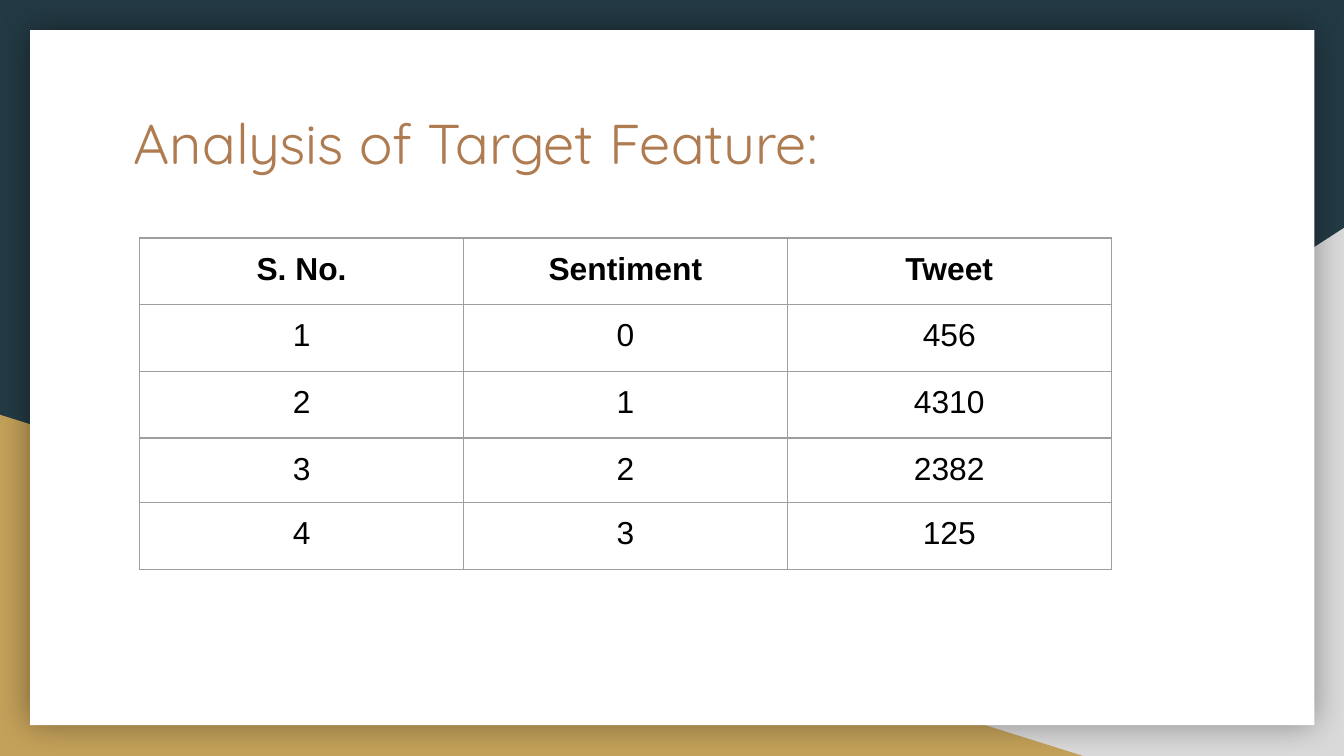
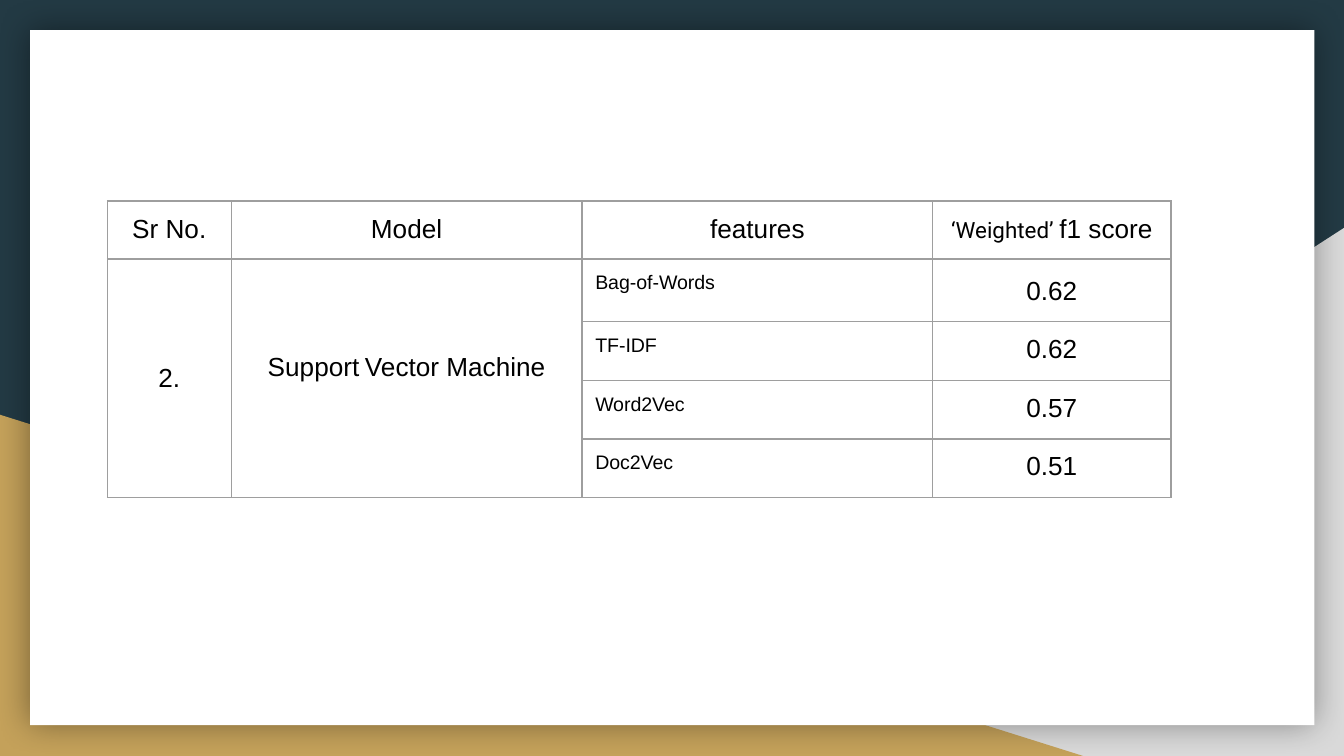
from lxml import etree
from pptx import Presentation
from pptx.dml.color import RGBColor
from pptx.enum.shapes import MSO_SHAPE
from pptx.enum.text import MSO_ANCHOR, PP_ALIGN
from pptx.oxml.ns import nsdecls, qn
from pptx.oxml import parse_xml
from pptx.util import Cm, Pt

RECTANGLE, TRIANGLE = MSO_SHAPE.RECTANGLE, MSO_SHAPE.RIGHT_TRIANGLE
LEFT, CENTER = PP_ALIGN.LEFT, PP_ALIGN.CENTER
TOP, MIDDLE = MSO_ANCHOR.TOP, MSO_ANCHOR.MIDDLE

NAVY, GOLD, GREY, WHITE = "233A44", "C4A15A", "D9D9D9", "FFFFFF"
BROWN, BLACK, BORDER = "AF7B51", "000000", "9E9E9E"
INSET = 0.25
BODY_FONT = "Arial"

# Content; lengths in centimetres
TITLE = "Analysis of Target Feature:"
SENTIMENT_ROWS = [
    ("S. No.", "Sentiment", "Tweet"),
    ("1", "0", "456"),
    ("2", "1", "4310"),
    ("3", "2", "2382"),
    ("4", "3", "125"),
]
SENTIMENT_WIDTHS = [6.12] * 3
SENTIMENT_HEIGHTS = [1.26, 1.26, 1.26, 1.22, 1.26]

SCORE_HEADER = ["Sr No.", "Model", "features"]
SCORE_RUNS = [("‘Weighted’ ", 12, "Roboto"), ("f1 score", 14, BODY_FONT)]
MODEL_NUMBER = "2."
MODEL_RUNS = [("Support", 14, BODY_FONT), (" ", 10.5, BODY_FONT),
              ("Vector Machine", 14, BODY_FONT)]
FEATURE_SCORES = [("Bag-of-Words", "0.62"), ("TF-IDF", "0.62"),
                  ("Word2Vec", "0.57"), ("Doc2Vec", "0.51")]
SCORE_WIDTHS = [2.34, 6.63, 6.63, 4.5]
SCORE_HEIGHTS = [1.06, 1.18, 1.11, 1.11, 1.11]


def rgb(value):
    return RGBColor.from_string(value)


def write(frame, runs, align=LEFT, color=BLACK, bold=False):
    """Fill the first paragraph with (text, size, font) runs."""
    paragraph = frame.paragraphs[0]
    paragraph.alignment = align
    for text, size, font in runs:
        run = paragraph.add_run()
        run.text = text
        run.font.size, run.font.name, run.font.bold = Pt(size), font, bold
        run.font.color.rgb = rgb(color)
    return paragraph


def set_insets(box):
    box.margin_left = box.margin_right = Cm(INSET)
    box.margin_top = box.margin_bottom = Cm(INSET)


# Shared backdrop
def add_panel(slide, kind, color, left, top, width, height):
    panel = slide.shapes.add_shape(kind, Cm(left), Cm(top), Cm(width), Cm(height))
    panel.shadow.inherit = False
    panel.fill.solid()
    panel.fill.fore_color.rgb = rgb(color)
    panel.line.fill.background()
    return panel


def new_slide(deck):
    slide = deck.slides.add_slide(deck.slide_layouts[6])
    slide.background.fill.solid()
    slide.background.fill.fore_color.rgb = rgb(NAVY)
    corner = add_panel(slide, TRIANGLE, GREY, 9.96, 4.31, 15.44, 9.98)
    corner._element.spPr.find(qn("a:xfrm")).set("flipH", "1")
    add_panel(slide, TRIANGLE, GOLD, 0, 7.84, 20.47, 6.45)
    page = add_panel(slide, RECTANGLE, WHITE, 0.57, 0.57, 24.27, 13.14)
    page._element.spPr.find(qn("a:effectLst")).append(parse_xml(
        f'<a:outerShdw {nsdecls("a")} blurRad="{Pt(18)}" dist="0" dir="0" '
        f'algn="ctr" rotWithShape="0"><a:srgbClr val="{BLACK}">'
        '<a:alpha val="40000"/></a:srgbClr></a:outerShdw>'))
    return slide


def add_title(slide, text):
    box = slide.shapes.add_textbox(Cm(2.28), Cm(1.8), Cm(20.85), Cm(1.83))
    frame = box.text_frame
    frame.word_wrap = True
    frame.vertical_anchor = TOP
    set_insets(frame)
    write(frame, [(text, 30, "Quicksand")], color=BROWN)


# Tables
def add_borders(cell):
    properties = cell._tc.get_or_add_tcPr()
    for position, side in enumerate(("lnL", "lnR", "lnT", "lnB")):
        line = etree.Element(qn(f"a:{side}"), w=str(Pt(0.75)))
        fill = etree.SubElement(line, qn("a:solidFill"))
        etree.SubElement(fill, qn("a:srgbClr"), val=BORDER)
        properties.insert(position, line)


def add_grid(slide, left, top, widths, heights):
    table = slide.shapes.add_table(
        len(heights), len(widths), Cm(left), Cm(top),
        Cm(sum(widths)), Cm(sum(heights))).table
    table.first_row = table.horz_banding = False
    for column, width in zip(table.columns, widths):
        column.width = Cm(width)
    for row, height in zip(table.rows, heights):
        row.height = Cm(height)
    for cell in table.iter_cells():
        set_insets(cell)
        cell.fill.background()
        add_borders(cell)
    return table


def build_sentiment_slide(deck):
    slide = new_slide(deck)
    add_title(slide, TITLE)
    table = add_grid(slide, 2.64, 4.5, SENTIMENT_WIDTHS, SENTIMENT_HEIGHTS)
    for r, row in enumerate(SENTIMENT_ROWS):
        for c, text in enumerate(row):
            write(table.cell(r, c).text_frame, [(text, 17, BODY_FONT)],
                  CENTER, bold=r == 0)


def build_score_slide(deck):
    slide = new_slide(deck)
    table = add_grid(slide, 2.03, 3.8, SCORE_WIDTHS, SCORE_HEIGHTS)
    header = [[(text, 14, BODY_FONT)] for text in SCORE_HEADER] + [SCORE_RUNS]
    for c, runs in enumerate(header):
        write(table.cell(0, c).text_frame, runs, CENTER)

    # Number and model span all feature rows
    for c, runs in enumerate([[(MODEL_NUMBER, 14, BODY_FONT)], MODEL_RUNS]):
        cell = table.cell(1, c)
        cell.merge(table.cell(len(FEATURE_SCORES), c))
        cell.vertical_anchor = MIDDLE
        write(cell.text_frame, runs, CENTER)
    table.cell(1, 1).margin_bottom = Cm(0.67)

    for r, (feature, score) in enumerate(FEATURE_SCORES, 1):
        write(table.cell(r, 2).text_frame, [(feature, 10.5, BODY_FONT)])
        paragraph = write(table.cell(r, 3).text_frame,
                          [(score, 14, BODY_FONT)], CENTER)
        if r == 1:
            paragraph.line_spacing = 1.15


def main():
    deck = Presentation()
    deck.slide_width, deck.slide_height = Cm(25.4), Cm(14.29)
    build_sentiment_slide(deck)
    build_score_slide(deck)
    deck.save("out.pptx")


if __name__ == "__main__":
    main()
